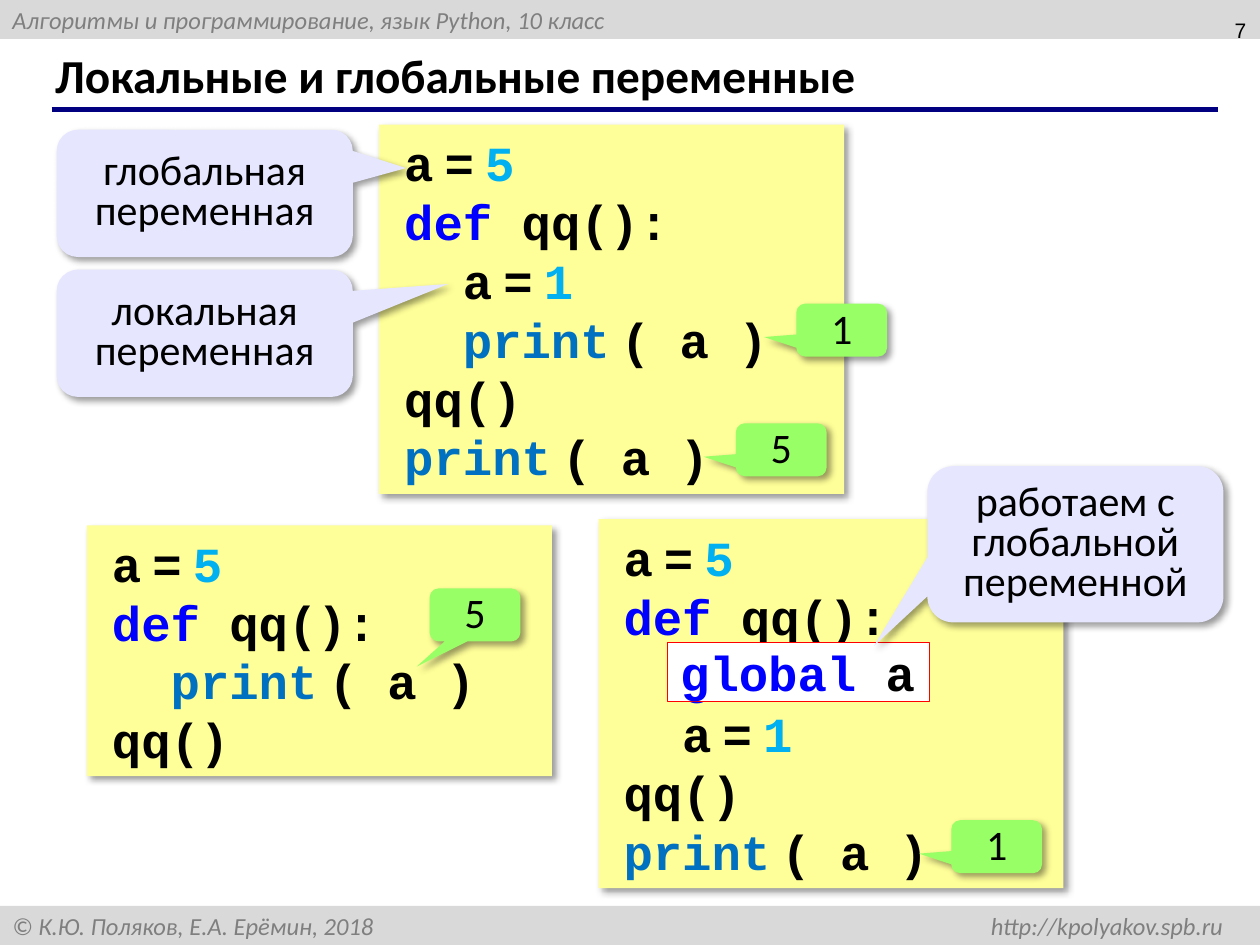
import pptx
import pptx.util
import pptx.dml.color
import pptx.enum.shapes
import pptx.enum.text
import pptx.oxml
import pptx.oxml.ns
from pptx.util import Inches, Pt

ALIGN = pptx.enum.text.PP_ALIGN
ANCHOR = pptx.enum.text.MSO_ANCHOR
SHAPE = pptx.enum.shapes.MSO_SHAPE
BLACK, KEYWORD, FUNCTION, NUMBER = "000000", "0000FF", "0070C0", "00B0F0"
GREY, YELLOW, LILAC, GREEN = "D9D9D9", "FFFF99", "E6E6FF", "99FF66"
SHADOW = (
    '<a:effectLst %s><a:outerShdw blurRad="50800" dist="38100" dir="2700000" '
    'algn="tl" rotWithShape="0"><a:srgbClr val="000000"><a:alpha val="40000"/>'
    '</a:srgbClr></a:outerShdw></a:effectLst>' % pptx.oxml.ns.nsdecls("a")
)

presentation = pptx.Presentation()
presentation.slide_width = Inches(10)
presentation.slide_height = Inches(7.5)
slide = presentation.slides.add_slide(presentation.slide_layouts[6])


def add_box(kind, place, fill=None, shadow=False, anchor=ANCHOR.MIDDLE):
    shape = slide.shapes.add_shape(kind, *[Inches(value) for value in place])
    shape.shadow.inherit = False
    shape.line.fill.background()
    if fill:
        shape.fill.solid()
        shape.fill.fore_color.rgb = pptx.dml.color.RGBColor.from_string(fill)
    else:
        shape.fill.background()
    if shadow:
        properties = shape._element.spPr
        properties.remove(properties.find(pptx.oxml.ns.qn("a:effectLst")))
        properties.append(pptx.oxml.parse_xml(SHADOW))
    shape.text_frame.word_wrap = True
    shape.text_frame.vertical_anchor = anchor
    shape.text_frame.paragraphs[0].alignment = ALIGN.LEFT
    return shape


def add_run(paragraph, text, size, font, color=BLACK, bold=False, italic=False):
    run = paragraph.add_run()
    run.text = text
    run.font.size = Pt(size)
    run.font.name = font
    run.font.bold = bold
    run.font.italic = italic
    run.font.color.rgb = pptx.dml.color.RGBColor.from_string(color)


bars = [
    (0, "Алгоритмы и программирование, язык Python, 10 класс"),
    (7.19, "© К.Ю. Поляков, Е.А. Ерёмин, 2018 \thttp://kpolyakov.spb.ru"),
]
for top, text in bars:
    bar = add_box(SHAPE.RECTANGLE, (0, top, 10, 0.31), GREY)
    paragraph = bar.text_frame.paragraphs[0]
    add_run(paragraph, text, 14, "Calibri", "7F7F7F", italic=True)
    paragraph._p.get_or_add_pPr().append(pptx.oxml.parse_xml(
        '<a:tabLst %s><a:tab pos="%d" algn="r"/></a:tabLst>'
        % (pptx.oxml.ns.nsdecls("a"), Inches(9.61))))

rule = slide.shapes.add_connector(
    pptx.enum.shapes.MSO_CONNECTOR.STRAIGHT,
    Inches(0.41), Inches(0.87), Inches(9.67), Inches(0.87))
rule.line.width = Pt(3)
rule.line.color.rgb = pptx.dml.color.RGBColor.from_string("000080")
rule._element.spPr.append(pptx.oxml.parse_xml(
    "<a:effectLst %s/>" % pptx.oxml.ns.nsdecls("a")))

title = add_box(SHAPE.RECTANGLE, (0.34, 0.33, 9.16, 0.52))
add_run(title.text_frame.paragraphs[0], "Локальные и глобальные переменные",
        27, "Calibri", bold=True)
number = add_box(SHAPE.RECTANGLE, (7.66, -0.02, 2.33, 0.52))
number.text_frame.paragraphs[0].alignment = ALIGN.RIGHT
add_run(number.text_frame.paragraphs[0], "7", 12, "Arial")

narrow_space = (" ", BLACK, "Calibri")
assign = [("a",), narrow_space, ("=",), narrow_space]
assign_five = assign + [("5", NUMBER)]
assign_one = [("  ",)] + assign + [("1", NUMBER)]
define = [("def ", KEYWORD), ("qq():",)]
call = [("qq()",)]
show = [("print", FUNCTION), narrow_space, ("( a )",)]
show_inside = [("  ",)] + show
global_line = [("  ",), ("global", KEYWORD), (" a",)]

listings = [
    ((3.01, 0.99, 3.69, 2.93),
     [assign_five, define, assign_one, show_inside, call, show]),
    ((0.69, 4.17, 3.69, 1.99), [assign_five, define, show_inside, call]),
    ((4.75, 4.12, 3.69, 2.93),
     [assign_five, define, global_line, assign_one, call, show]),
]
for place, lines in listings:
    listing = add_box(SHAPE.RECTANGLE, place, YELLOW, shadow=True)
    frame = listing.text_frame
    for index, line in enumerate(lines):
        paragraph = frame.add_paragraph() if index else frame.paragraphs[0]
        paragraph.alignment = ALIGN.JUSTIFY
        paragraph.line_spacing = Pt(33.6)
        paragraph._p.get_or_add_pPr().set("indent", str(Inches(0.1)))
        for text, color, font in [
                (part + (BLACK, "Courier New")[len(part) - 1:]) for part in line]:
            add_run(paragraph, text, 28, font, color, bold=True)

highlight = add_box(SHAPE.RECTANGLE, (5.3, 5.1, 2.08, 0.47), "FFFFFF", anchor=ANCHOR.TOP)
highlight.line.color.rgb = pptx.dml.color.RGBColor.from_string("FF0000")
highlight.line.width = Pt(0.75)
highlight.text_frame.word_wrap = False
highlight.text_frame.margin_top = highlight.text_frame.margin_bottom = 0
for text, color in [("global", KEYWORD), (" a", BLACK)]:
    add_run(highlight.text_frame.paragraphs[0], text, 28, "Courier New", color, bold=True)

note_size, result_size = (2.35, 1.01), (0.72, 0.42)
left_tail = (-0.857, 0.131)
callouts = [
    ((0.45, 1.03) + note_size, (0.68, -0.199), LILAC, ["глобальная переменная"]),
    ((0.45, 2.14) + note_size, (0.822, -0.387), LILAC, ["локальная переменная"]),
    ((6.32, 2.41) + result_size, left_tail, GREEN, ["1"]),
    ((5.84, 3.36) + result_size, left_tail, GREEN, ["5"]),
    ((3.41, 4.67) + result_size, (-0.643, 0.977), GREEN, ["5"]),
    ((7.55, 6.51) + result_size, left_tail, GREEN, ["1"]),
    ((7.36, 3.7, 2.35, 1.24), (-0.68, 0.65), LILAC,
     ["работаем с", "глобальной переменной"]),
]
for place, tail, fill, lines in callouts:
    callout = add_box(SHAPE.ROUNDED_RECTANGULAR_CALLOUT, place, fill, shadow=True)
    callout.adjustments[0], callout.adjustments[1] = tail
    frame = callout.text_frame
    if fill == GREEN:
        frame.margin_top = Inches(0.08)
    for index, text in enumerate(lines):
        paragraph = frame.add_paragraph() if index else frame.paragraphs[0]
        paragraph.alignment = ALIGN.CENTER
        paragraph.line_spacing = 0.8
        add_run(paragraph, text, 24, "Calibri")

presentation.save("out.pptx")
